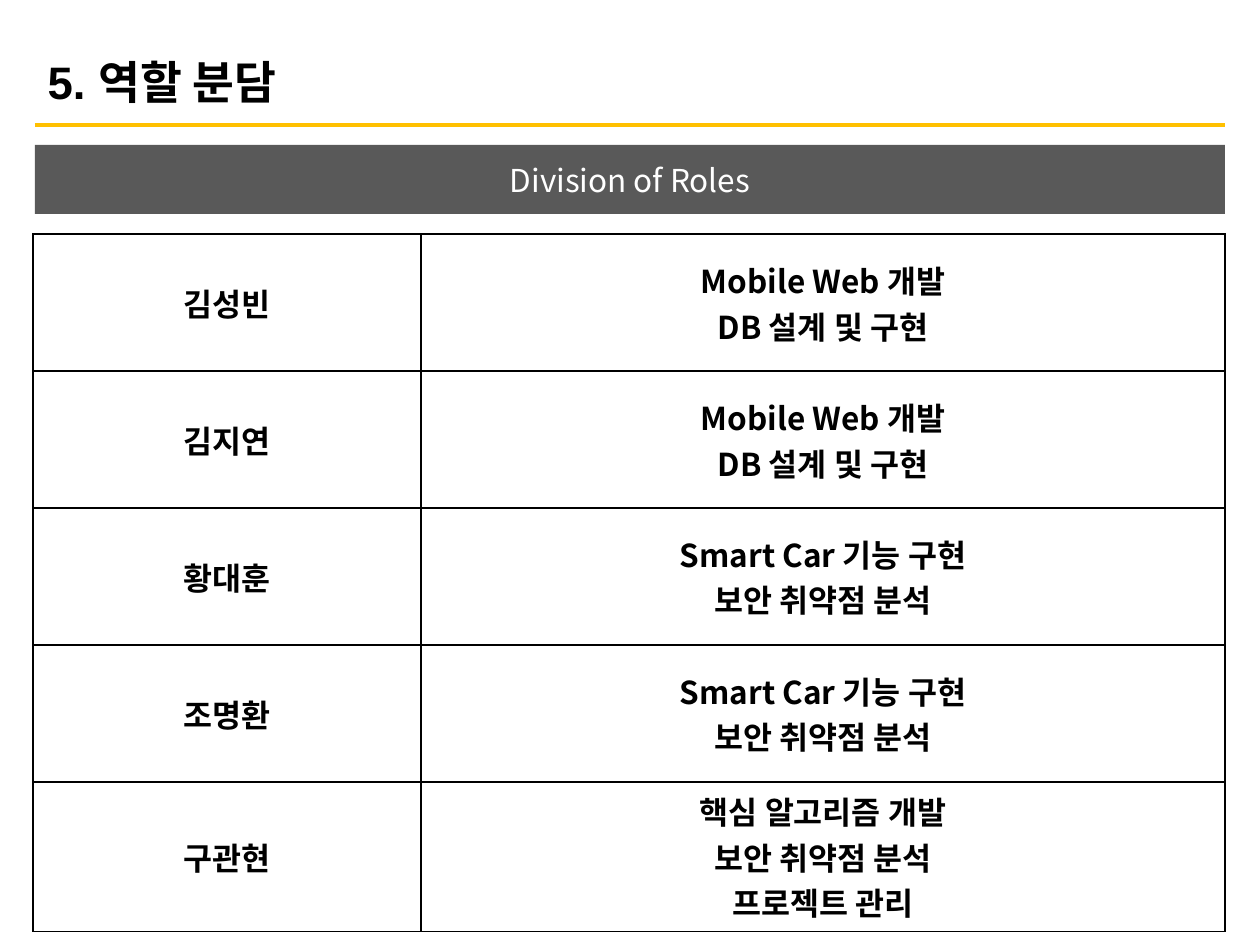
from pptx import Presentation
from pptx.dml.color import RGBColor
from pptx.enum.shapes import MSO_CONNECTOR, MSO_SHAPE
from pptx.enum.text import MSO_ANCHOR, PP_ALIGN
from pptx.oxml.ns import qn
from pptx.util import Pt
from lxml.etree import SubElement

TITLE = "5. 역할 분담"
BANNER = "Division of Roles"
WEB = ["Mobile Web 개발", "DB 설계 및 구현"]
CAR = ["Smart Car 기능 구현", "보안 취약점 분석"]
LEAD = ["핵심 알고리즘 개발", "보안 취약점 분석", "프로젝트 관리"]
ROLES = [
    ("김성빈", WEB),
    ("김지연", WEB),
    ("황대훈", CAR),
    ("조명환", CAR),
    ("구관현", LEAD),
]

SANS = "Noto Sans CJK KR"
THEME = {
    "rule": RGBColor(0xFF, 0xC0, 0x00),
    "banner": RGBColor(0x59, 0x59, 0x59),
    "title": {"name": "Arial", "size": Pt(26), "bold": True, "color": RGBColor(0, 0, 0)},
    "label": {"name": SANS, "size": Pt(18), "bold": False, "color": RGBColor(255, 255, 255)},
    "cell": {"name": SANS, "size": Pt(18), "bold": True, "color": RGBColor(0, 0, 0)},
}

SCALE = 914400 // 126
LEFT, WIDE = 35, 1190
GRID_X, GRID_Y = 33, 234
COLS = [388, 804]
ROW = 137


def px(*vals):
    return [val * SCALE for val in vals]


def write(frame, lines, style, align):
    frame.text = "\n".join(lines)
    frame.word_wrap = True
    for para in frame.paragraphs:
        para.alignment = align
        for run in para.runs:
            for key, val in THEME[style].items():
                if key == "color":
                    run.font.color.rgb = val
                else:
                    setattr(run.font, key, val)
            # Hangul takes its typeface from the East Asian slot
            SubElement(run.font._element, qn("a:ea"), typeface=SANS)


def border(cell):
    props = cell._tc.get_or_add_tcPr()
    for spot, side in enumerate(("lnL", "lnR", "lnT", "lnB")):
        line = SubElement(props, qn(f"a:{side}"), w=str(Pt(1)))
        fill = SubElement(line, qn("a:solidFill"))
        SubElement(fill, qn("a:srgbClr"), val="000000")
        props.insert(spot, line)


def add_title(slide):
    title = slide.shapes.title
    title.left, title.top, title.width, title.height = px(LEFT, 36, WIDE, 90)
    write(title.text_frame, [TITLE], "title", PP_ALIGN.LEFT)
    title.text_frame.vertical_anchor = MSO_ANCHOR.MIDDLE


def add_rule(slide):
    ends = px(LEFT, 125, LEFT + WIDE, 125)
    rule = slide.shapes.add_connector(MSO_CONNECTOR.STRAIGHT, *ends)
    rule.line.color.rgb = THEME["rule"]
    rule.line.width = Pt(2.75)
    SubElement(rule._element.spPr, qn("a:effectLst"))


def add_banner(slide):
    box = slide.shapes.add_shape(MSO_SHAPE.RECTANGLE, *px(LEFT, 145, WIDE, 69))
    box.shadow.inherit = False
    box.fill.solid()
    box.fill.fore_color.rgb = THEME["banner"]
    box.line.fill.background()
    write(box.text_frame, [BANNER], "label", PP_ALIGN.CENTER)
    box.text_frame.vertical_anchor = MSO_ANCHOR.MIDDLE


def add_roles(slide):
    area = px(GRID_X, GRID_Y, sum(COLS), ROW * len(ROLES))
    table = slide.shapes.add_table(len(ROLES), len(COLS), *area).table
    table.first_row = table.horz_banding = False
    for col, wide in zip(table.columns, px(*COLS)):
        col.width = wide
    for row, (name, tasks) in zip(table.rows, ROLES):
        row.height = ROW * SCALE
        for cell, lines in zip(row.cells, ([name], tasks)):
            write(cell.text_frame, lines, "cell", PP_ALIGN.CENTER)
            cell.vertical_anchor = MSO_ANCHOR.MIDDLE
            cell.fill.background()
            border(cell)


def main():
    deck = Presentation()
    deck.slide_width, deck.slide_height = px(1260, 945)
    slide = deck.slides.add_slide(deck.slide_layouts[5])
    for add in (add_title, add_rule, add_banner, add_roles):
        add(slide)
    deck.save("out.pptx")


if __name__ == "__main__":
    main()
